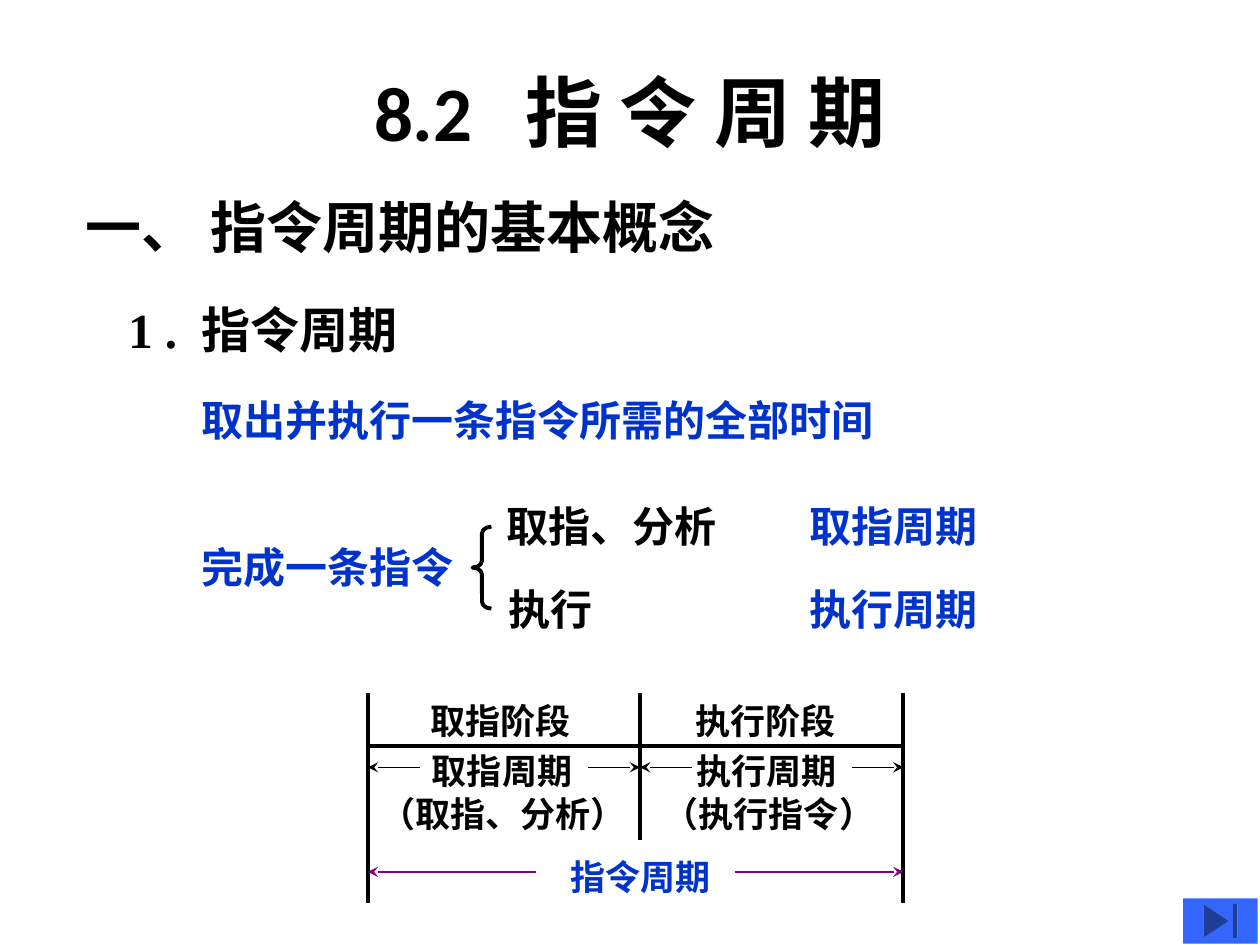
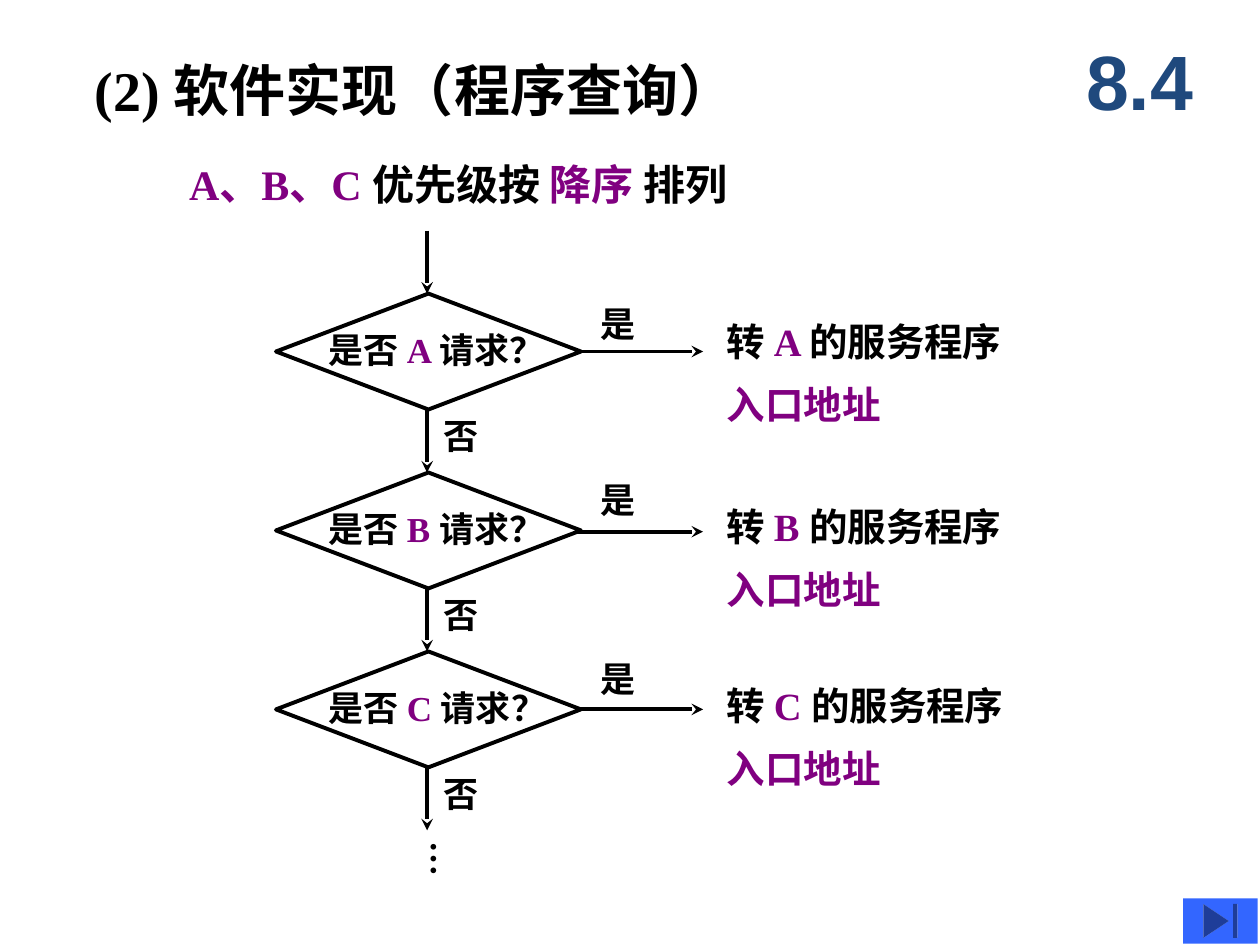
from pptx import Presentation
from pptx.dml.color import RGBColor
from pptx.enum.shapes import MSO_CONNECTOR, MSO_SHAPE
from pptx.enum.text import MSO_ANCHOR, MSO_AUTO_SIZE, PP_ALIGN
from pptx.oxml.ns import qn
from pptx.util import Inches, Pt
from lxml.etree import SubElement

# Shared style
BLACK = RGBColor(0x00, 0x00, 0x00)
BLUE = RGBColor(0x00, 0x33, 0xCC)
PURPLE = RGBColor(0x80, 0x00, 0x80)
NAVY = RGBColor(0x1F, 0x49, 0x7D)
BUTTON_BLUE = RGBColor(0x33, 0x66, 0xFF)
SERIF, SANS, TITLE_FONT = "Times New Roman", "Arial", "Calibri"
THICK, THIN = 2.25, 0.75
TITLE_ONLY = 5


def format_text(shape, text, size=24, font=SERIF, color=BLACK, align=PP_ALIGN.LEFT,
                anchor=MSO_ANCHOR.TOP, insets=(0.1, 0.05, 0.1, 0.05), wrap=True,
                space_before=0, line_spacing=None):
    """Fill a shape; text is a string or paragraphs of (text, color[, spacing]) runs."""
    frame = shape.text_frame
    frame.auto_size = MSO_AUTO_SIZE.NONE
    frame.word_wrap = wrap
    frame.vertical_anchor = anchor
    (frame.margin_left, frame.margin_top,
     frame.margin_right, frame.margin_bottom) = map(Inches, insets)
    paragraphs = [[(text, color)]] if isinstance(text, str) else text
    for index, runs in enumerate(paragraphs):
        paragraph = frame.add_paragraph() if index else frame.paragraphs[0]
        paragraph.alignment = align
        if index:
            paragraph.space_before = Pt(space_before)
        if line_spacing:
            paragraph.line_spacing = line_spacing
        for run_text, run_color, *spacing in runs:
            run = paragraph.add_run()
            run.text = run_text
            run.font.name, run.font.size, run.font.bold = font, Pt(size), True
            run.font.color.rgb = run_color
            if spacing:
                run.font._element.set("spc", str(spacing[0] * 100))
    return shape


def add_text(slide, text, left, top, width, height, **style):
    box = slide.shapes.add_textbox(*map(Inches, (left, top, width, height)))
    return format_text(box, text, **style)


def set_title(slide, text, left, top, width, height, **style):
    title = slide.shapes.title
    title.left, title.top, title.width, title.height = map(
        Inches, (left, top, width, height))
    format_text(title, text, anchor=MSO_ANCHOR.MIDDLE, **style)


def add_line(slide, x1, y1, x2, y2, width=THICK, color=BLACK, arrow=False):
    line = slide.shapes.add_connector(
        MSO_CONNECTOR.STRAIGHT, *map(Inches, (x1, y1, x2, y2)))
    line.line.color.rgb = color
    line.line.width = Pt(width)
    if arrow:
        SubElement(line.line._get_or_add_ln(), qn("a:tailEnd"), type="stealth")
    SubElement(line._element.spPr, qn("a:effectLst"))


def add_outline(slide, kind, left, top, width, height):
    shape = slide.shapes.add_shape(kind, *map(Inches, (left, top, width, height)))
    shape.shadow.inherit = False
    shape.fill.background()
    shape.line.color.rgb = BLACK
    shape.line.width = Pt(THICK)
    return shape


def add_end_button(slide):
    button = slide.shapes.add_shape(
        MSO_SHAPE.ACTION_BUTTON_END, *map(Inches, (9.39, 7.13, 0.59, 0.36)))
    button.shadow.inherit = False
    button.fill.solid()
    button.fill.fore_color.rgb = BUTTON_BLUE
    button.line.fill.background()


def add_phase_diagram(slide):
    start, middle, end = 2.92, 5.08, 7.17
    top, axis, bottom = 5.5, 5.92, 7.17

    # Time axis and boundaries
    add_line(slide, start, axis, end, axis)
    for x, y in ((start, bottom), (middle, 6.67), (end, bottom)):
        add_line(slide, x, top, x, y)

    # Labels of the two phases and of the whole cycle
    for text, left, y, width in (
            ("取指阶段", 3.32, top, 1.31), ("取指周期", 3.33, 5.9, 1.31),
            ("（取指、分析）", 2.92, 6.24, 2.15),
            ("执行阶段", 5.42, top, 1.31), ("执行周期", 5.43, 5.9, 1.31),
            ("（执行指令）", 5.17, 6.24, 1.87)):
        add_text(slide, text, left, y, width, 0.44, size=20, wrap=False)
    add_text(slide, "指令周期", 4.43, 6.74, 1.31, 0.44, size=20, color=BLUE, wrap=False)

    # Span arrows
    for left, right in ((start, middle), (middle, end)):
        add_line(slide, left + 0.41, 6.09, left, 6.09, THIN, arrow=True)
        add_line(slide, right - 0.41, 6.09, right, 6.09, THIN, arrow=True)
    for inner, outer in ((4.25, start), (5.83, end)):
        add_line(slide, inner, 6.92, outer, 6.92, THIN, PURPLE, arrow=True)


def build_cycle_slide(slide):
    set_title(slide, [[("8.2", BLACK), (" ", BLACK, 20), ("指 令 周 期", BLACK)]],
              0.75, 0.25, 8.5, 1.25, size=44, font=TITLE_FONT, align=PP_ALIGN.CENTER)

    # Headings and definition
    add_text(slide, "一、 指令周期的基本概念", 0.58, 1.48, 6.25, 0.64, size=32)
    add_text(slide, [[("1 .", BLACK), (" ", BLACK, 7), ("指令周期", BLACK)]],
             0.92, 2.33, 6.25, 0.57, size=28)
    add_text(slide, "取出并执行一条指令所需的全部时间", 1.5, 3.08, 6.25, 0.5, color=BLUE)

    # Steps of one instruction
    add_text(slide, "完成一条指令", 1.5, 4.25, 3, 0.5, color=BLUE)
    brace = add_outline(slide, MSO_SHAPE.LEFT_BRACE, 3.75, 4.18, 0.15, 0.65)
    brace.adjustments[0] = 0.36
    for step, left, cycle, top in (("取指、分析", 3.92, "取指周期", 3.92),
                                   ("执行", 3.94, "执行周期", 4.58)):
        add_text(slide, step, left, top, 2.17, 0.5)
        add_text(slide, cycle, 6.33, top, 2, 0.5, color=BLUE)

    add_phase_diagram(slide)
    add_end_button(slide)


def add_query_step(slide, name, top, arrow_y, yes_top, service_top):
    # Decision
    add_outline(slide, MSO_SHAPE.DIAMOND, 2.19, top, 2.42, 0.92)
    add_text(slide, [[("是否 ", BLACK), (f"{name} ", PURPLE), ("请求？", BLACK)]],
             2.61, top + 0.28, 2.23, 0.39, size=20, insets=(0, 0, 0.1, 0.05))

    # Branches
    add_line(slide, 4.58, arrow_y, 5.58, arrow_y, arrow=True)
    add_text(slide, "是", 4.67, yes_top, 0.67, 0.44, size=20)
    add_line(slide, 3.39, top + 0.92, 3.39, top + 1.42, arrow=True)
    add_text(slide, "否", 3.42, top + 0.91, 0.67, 0.44, size=20)

    # Service routine
    add_text(slide, [[("转 ", BLACK), (f"{name} ", PURPLE), ("的服务程序", BLACK)],
                     [("入口地址", PURPLE)]],
             5.67, service_top, 3.83, 0.92, size=22, space_before=13.8, line_spacing=0.85)


def build_query_slide(slide):
    set_title(slide, "(2) 软件实现（程序查询）", 0.75, 0.42, 5.75, 0.58,
              size=32, insets=(0, 0.05, 0, 0.05), wrap=False)
    add_text(slide, "8.4", 8.42, 0.17, 1.25, 0.92, size=44, font=SANS, color=NAVY,
             align=PP_ALIGN.CENTER, anchor=MSO_ANCHOR.MIDDLE)
    add_text(slide, [[("A、B、C ", PURPLE), ("优先级按 ", BLACK),
                      ("降序 ", PURPLE), ("排列", BLACK)]],
             1.5, 1.17, 5.75, 0.58, anchor=MSO_ANCHOR.MIDDLE,
             insets=(0, 0.05, 0, 0.05), wrap=False)

    # Polling chain
    add_line(slide, 3.39, 1.83, 3.39, 2.33, arrow=True)
    for step in (("A", 2.33, 2.79, 2.35, 2.53),
                 ("B", 3.75, 4.22, 3.75, 4),
                 ("C", 5.17, 5.63, 5.17, 5.42)):
        add_query_step(slide, *step)
    dots = add_text(slide, "…", 3.22, 6.58, 0.53, 0.38, size=20,
                    insets=(0.05, 0.1, 0.05, 0.1), wrap=False)
    dots.text_frame._txBody.bodyPr.set("vert", "eaVert")

    add_end_button(slide)


def main():
    presentation = Presentation()
    presentation.slide_width, presentation.slide_height = Inches(10), Inches(7.5)
    layout = presentation.slide_layouts[TITLE_ONLY]
    for build in (build_cycle_slide, build_query_slide):
        build(presentation.slides.add_slide(layout))
    presentation.save("out.pptx")


if __name__ == "__main__":
    main()
